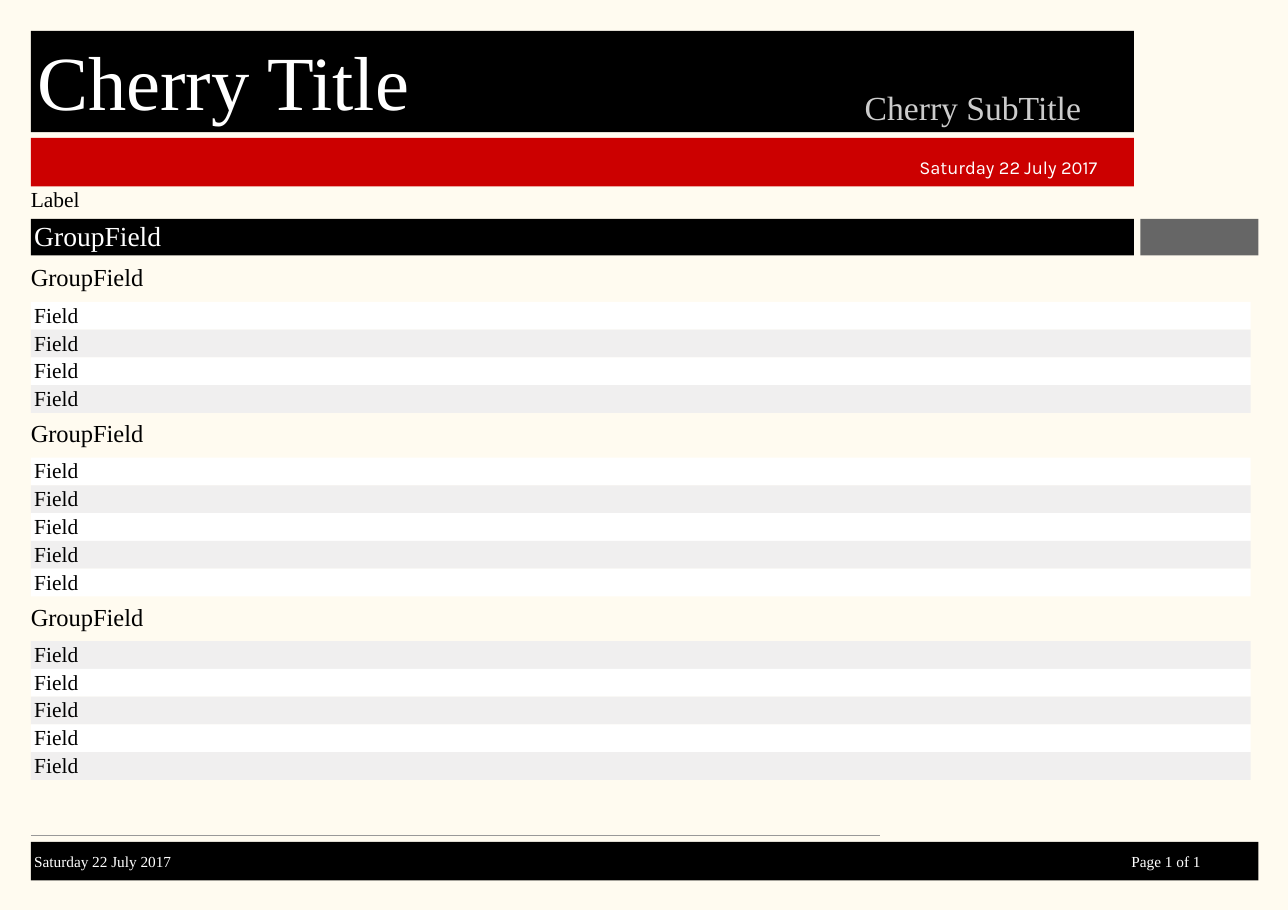
import lxml.etree
import pptx
import pptx.dml.color
import pptx.enum.shapes
import pptx.enum.text
import pptx.oxml.ns
import pptx.util

Cm = pptx.util.Cm
ALIGN = pptx.enum.text.PP_ALIGN
ANCHOR = pptx.enum.text.MSO_ANCHOR

HUES = {
    "page": "FFFBF0",
    "black": "000000",
    "white": "FFFFFF",
    "red": "CC0000",
    "grey": "666666",
    "silver": "CCCCCC",
    "stripe": "F0EFEF",
    "rule": "999999",
}


def hue(name):
    return pptx.dml.color.RGBColor.from_string(HUES[name])


def write(frame, text, size=14, color="black", font="Times New Roman",
          align=ALIGN.LEFT, anchor=ANCHOR.TOP, inset=0):
    frame.word_wrap = True
    frame.auto_size = pptx.enum.text.MSO_AUTO_SIZE.NONE
    frame.vertical_anchor = anchor
    frame.margin_left = frame.margin_right = Cm(inset)
    frame.margin_top = frame.margin_bottom = Cm(inset)
    line = frame.paragraphs[0]
    line.alignment = align
    line.line_spacing = 1.0
    line.space_before = pptx.util.Pt(0)
    run = line.add_run()
    run.text = text
    run.font.size = pptx.util.Pt(size)
    run.font.name = font
    run.font.color.rgb = hue(color)


class Report:
    """Draw the parts of a striped report page."""

    left = 0.71
    indent = 0.79
    wide = 28.3
    band = 25.43
    row = 0.64
    head = 0.91
    gap = 0.12

    def __init__(self, deck):
        self.slide = deck.slides.add_slide(deck.slide_layouts[5])
        fill = self.slide.background.fill
        fill.solid()
        fill.fore_color.rgb = hue("page")

    def bar(self, x, y, w, h, color):
        shape = self.slide.shapes.add_shape(
            pptx.enum.shapes.MSO_SHAPE.RECTANGLE, Cm(x), Cm(y), Cm(w), Cm(h))
        shape.shadow.inherit = False
        shape.fill.solid()
        shape.fill.fore_color.rgb = hue(color)
        shape.line.fill.background()
        return shape

    def label(self, text, x, y, w, h, **style):
        box = self.slide.shapes.add_textbox(Cm(x), Cm(y), Cm(w), Cm(h))
        write(box.text_frame, text, **style)

    def title(self, text, back, x, y, w, h, **style):
        shape = self.slide.shapes.title
        shape.left, shape.top, shape.width, shape.height = map(Cm, (x, y, w, h))
        write(shape.text_frame, text, **style)
        back.element.addnext(shape.element)

    def rule(self, x, y, w):
        line = self.slide.shapes.add_connector(
            pptx.enum.shapes.MSO_CONNECTOR.STRAIGHT, Cm(x), Cm(y), Cm(x + w), Cm(y))
        line.line.color.rgb = hue("rule")
        line.line.width = pptx.util.Pt(0.5)
        lxml.etree.SubElement(line.element.spPr, pptx.oxml.ns.qn("a:effectLst"))

    def groups(self, top, counts):
        index = 0
        for count in counts:
            self.label("GroupField", self.left, top, self.wide, self.head, size=16)
            top += self.head
            for _ in range(count):
                color = "stripe" if index % 2 else "white"
                self.bar(self.left, top, 28.12, self.row, color)
                self.label("Field", self.indent, top, 3.53, self.row)
                top += self.row
                index += 1
            top += self.gap


def main():
    deck = pptx.Presentation()
    deck.slide_width, deck.slide_height = Cm(29.69), Cm(20.98)
    page = Report(deck)
    left, indent = page.left, page.indent
    date = "Saturday 22 July 2017"

    back = page.bar(left, 0.71, page.band, 2.34, "black")
    page.title("Cherry Title", back, left, 0.71, 13.06, 2.34, size=50,
               color="white", anchor=ANCHOR.BOTTOM, inset=0.15)
    page.label("Cherry SubTitle", 13.77, 2.01, 11.15, 1.02, size=22,
               color="silver", align=ALIGN.RIGHT)
    page.bar(left, 3.18, page.band, 1.12, "red")
    page.label(date, 20.22, 3.61, 5.08, 0.71, size=12, color="white",
               font="Karla", align=ALIGN.RIGHT)

    page.label("Label", left, 4.29, 3.56, 0.64)
    page.bar(left, 5.05, page.band, 0.84, "black")
    page.label("GroupField", indent, 5.05, 24.51, 0.84, size=18, color="white")
    page.bar(26.29, 5.05, 2.72, 0.84, "grey")
    page.groups(6.05, (4, 5, 5))

    page.rule(left, 19.25, 19.58)
    page.bar(left, 19.41, page.wide, 0.89, "black")
    foot = {"size": 10, "color": "white", "anchor": ANCHOR.MIDDLE}
    page.label(" 1", 27.41, 19.51, 1.42, 0.71, **foot)
    page.label("Page 1 of", 24.59, 19.51, 2.82, 0.71, align=ALIGN.RIGHT, **foot)
    page.label(date, indent, 19.51, 6.96, 0.71, **foot)

    deck.save("out.pptx")


if __name__ == "__main__":
    main()
